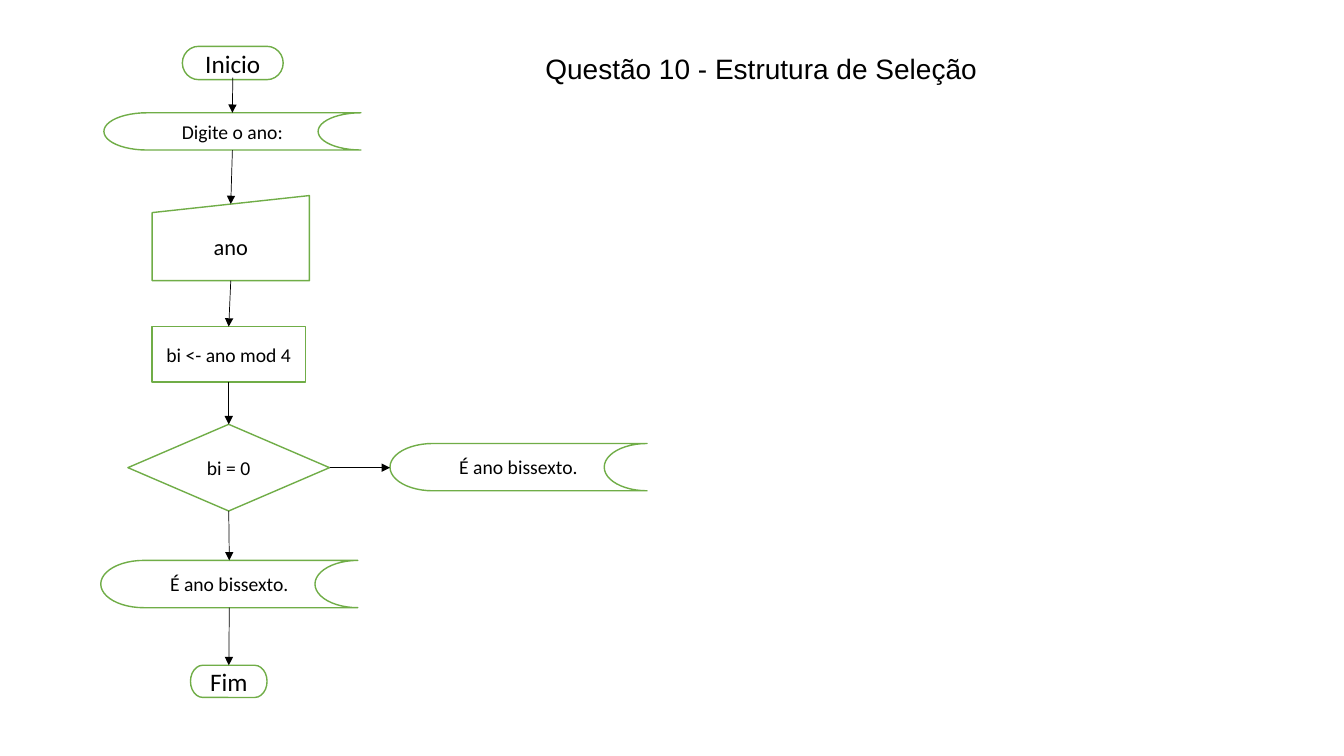
from lxml.etree import SubElement
from pptx import Presentation
from pptx.dml.color import RGBColor
from pptx.enum.shapes import MSO_CONNECTOR, MSO_SHAPE
from pptx.enum.text import MSO_ANCHOR, PP_ALIGN
from pptx.oxml.ns import qn
from pptx.util import Pt

BLACK = RGBColor(0x00, 0x00, 0x00)
WHITE = RGBColor(0xFF, 0xFF, 0xFF)
GREEN = RGBColor(0x70, 0xAD, 0x47)

TERMINATOR = MSO_SHAPE.FLOWCHART_TERMINATOR
DISPLAY = MSO_SHAPE.FLOWCHART_STORED_DATA
INPUT = MSO_SHAPE.FLOWCHART_MANUAL_INPUT
PROCESS = MSO_SHAPE.FLOWCHART_PROCESS
DECISION = MSO_SHAPE.FLOWCHART_DECISION

# Kind, text, text size, box (left, top, width, height) within the chart
STEPS = [
    (TERMINATOR, "Inicio", 18, (58.3, 0, 72, 23.8)),
    (DISPLAY, "Digite o ano:", 14, (2.2, 47.5, 183.6, 26.6)),
    (INPUT, "ano", 16, (36.7, 106.6, 112.3, 60.8)),
    (PROCESS, "bi <- ano mod 4", 14, (36.7, 200.2, 109.4, 39.6)),
    (DECISION, "bi = 0", 14, (19.4, 270, 144, 61.9)),
    (DISPLAY, "É ano bissexto.", 14, (0, 367.2, 183.6, 33.8)),
    (TERMINATOR, "Fim", 18, (64.1, 442.1, 54.7, 23)),
]
BRANCH = (DISPLAY, "É ano bissexto.", 14, (206.6, 283.7, 183.6, 33.8))


def write(tf, text, font="Calibri", size=14, color=BLACK, align=PP_ALIGN.CENTER):
    p = tf.paragraphs[0]
    p.alignment = align
    r = p.add_run()
    r.text = text
    r.font.name = font
    r.font.size = Pt(size)
    r.font.color.rgb = color


def add_title(slide, left, top, width, height):
    sp = slide.shapes.title
    sp.left, sp.top, sp.width, sp.height = map(Pt, (left, top, width, height))
    tf = sp.text_frame
    tf.word_wrap = False
    tf.vertical_anchor = MSO_ANCHOR.TOP
    write(tf, "Questão 10 - Estrutura de Seleção", font="Arial", size=20,
          align=PP_ALIGN.LEFT)
    tf.paragraphs[0].line_spacing = 1.0


def add_step(slide, left, top, kind, text, size, box):
    x, y, w, h = box
    sp = slide.shapes.add_shape(kind, Pt(left + x), Pt(top + y), Pt(w), Pt(h))
    sp.shadow.inherit = False
    sp.fill.solid()
    sp.fill.fore_color.rgb = WHITE
    sp.line.color.rgb = GREEN
    sp.line.width = Pt(1)
    sp.text_frame.vertical_anchor = MSO_ANCHOR.MIDDLE
    write(sp.text_frame, text, size=size)
    return sp


def add_arrow(slide, start, end):
    cx = slide.shapes.add_connector(MSO_CONNECTOR.STRAIGHT, *start, *end)
    cx.line.color.rgb = BLACK
    cx.line.width = Pt(0.5)
    SubElement(cx.line._get_or_add_ln(), qn("a:tailEnd"), type="triangle")
    SubElement(cx._element.spPr, qn("a:effectLst"))


def top_of(sp):
    """Middle of the upper edge, which slopes on a manual input."""
    slope = sp.height // 10 if sp.auto_shape_type == INPUT else 0
    return sp.left + sp.width // 2, sp.top + slope


def bottom_of(sp):
    """Middle of the lower edge; the arrow starts just inside a terminator."""
    inset = Pt(1.5) if sp.auto_shape_type == TERMINATOR else 0
    return sp.left + sp.width // 2, sp.top + sp.height - inset


def add_flowchart(slide, left, top):
    steps = [add_step(slide, left, top, *step) for step in STEPS]
    for above, below in zip(steps, steps[1:]):
        add_arrow(slide, bottom_of(above), top_of(below))

    branch = add_step(slide, left, top, *BRANCH)
    decision = next(sp for sp in steps if sp.auto_shape_type == DECISION)
    middle = decision.top + decision.height // 2
    add_arrow(slide, (decision.left + decision.width, middle), (branch.left, middle))


def main():
    prs = Presentation()
    prs.slide_width, prs.slide_height = Pt(960), Pt(540)
    slide = prs.slides.add_slide(prs.slide_layouts[5])
    slide.background.fill.solid()
    slide.background.fill.fore_color.rgb = WHITE
    add_title(slide, 382.3, 33.1, 330.5, 31.7)
    add_flowchart(slide, 72, 33.1)
    prs.save("out.pptx")


if __name__ == "__main__":
    main()
